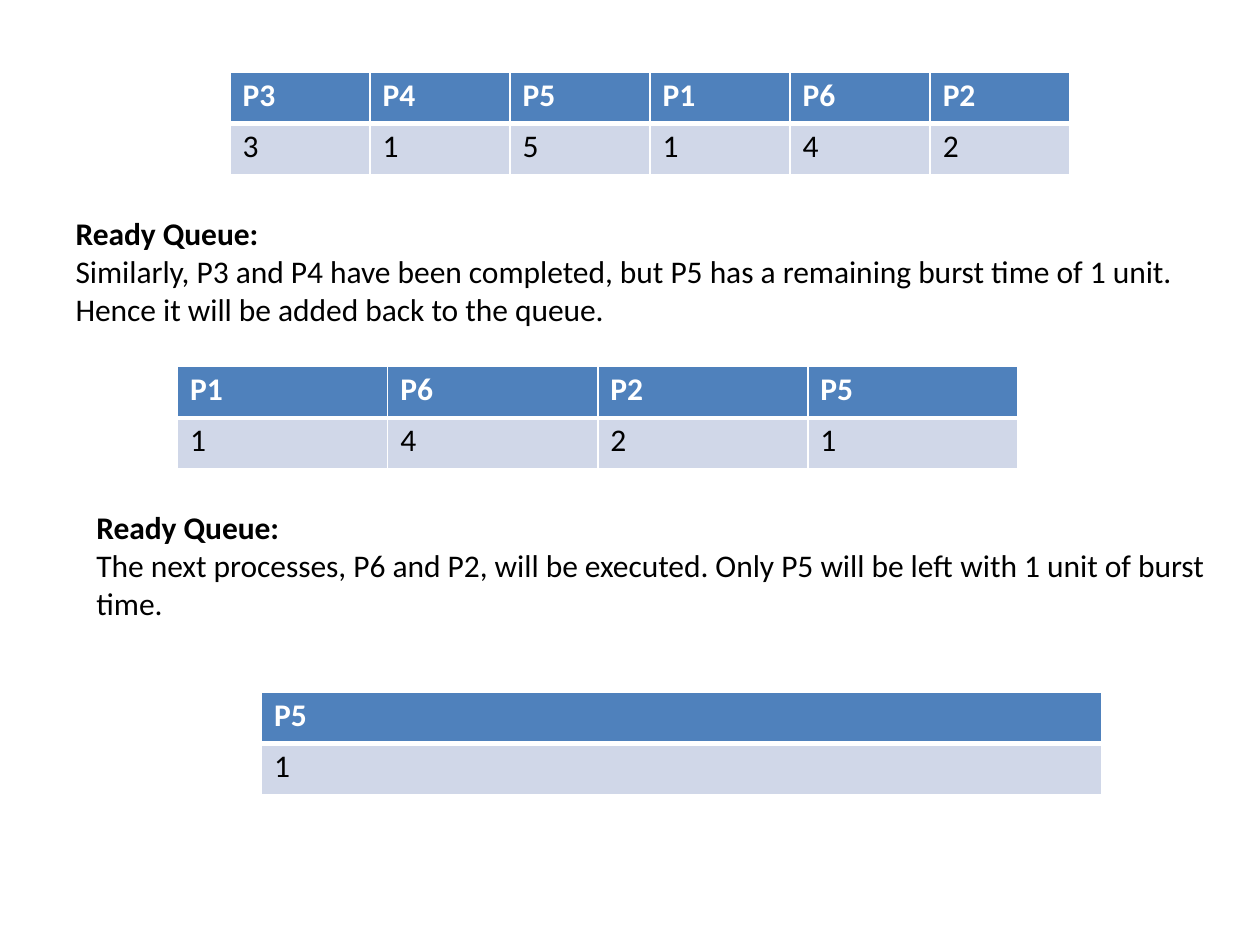
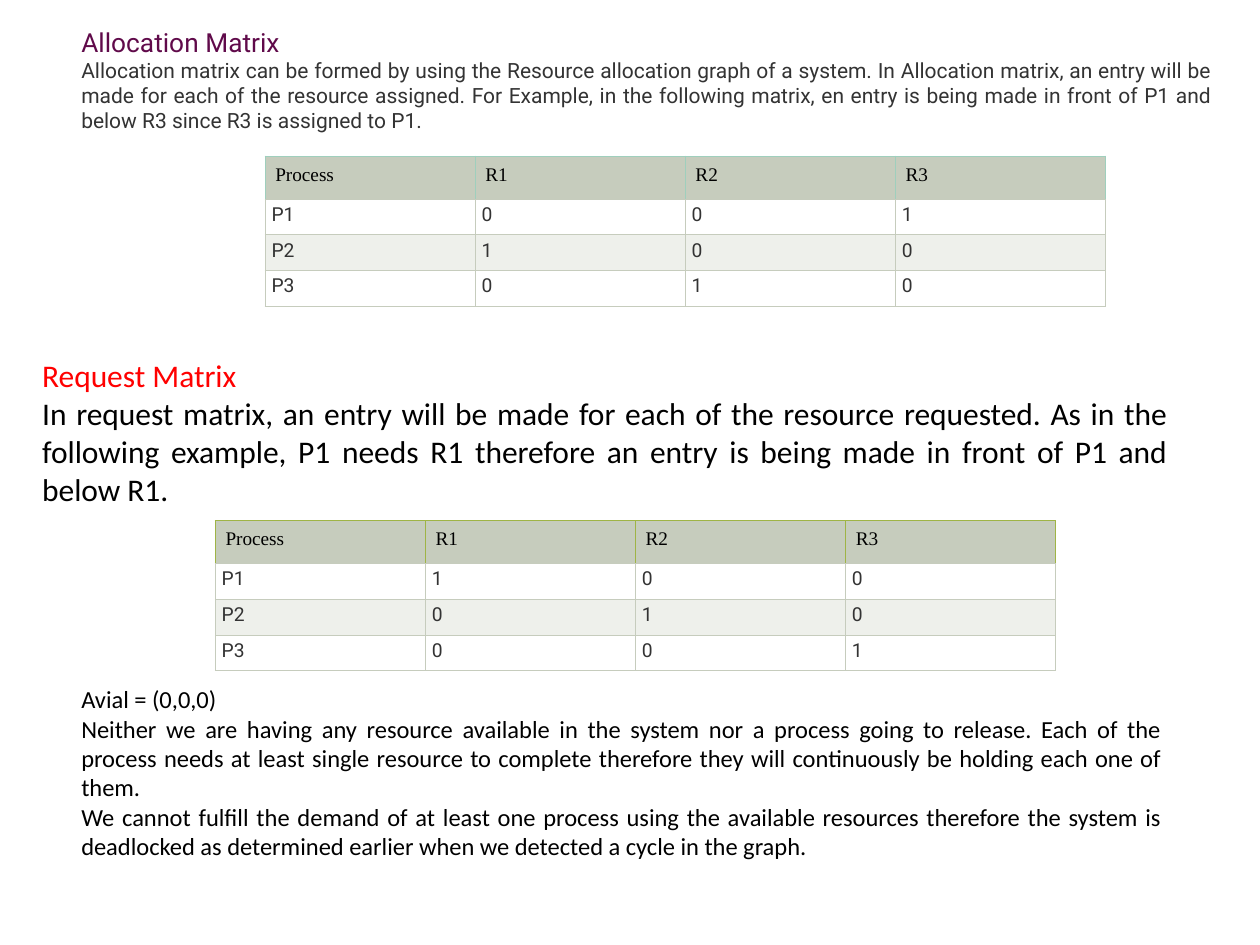
import dataclasses
import typing

import lxml.etree
import pptx
import pptx.dml.color
import pptx.enum.text
import pptx.oxml.ns
import pptx.slide
import pptx.table
import pptx.text.text
import pptx.util

WIDE, HIGH = pptx.util.Inches(10), pptx.util.Inches(7.5)
COLS, ROWS = 100, 75
SPAN = 66.7
WHITE, BLACK, GREY = "FFFFFF", "000000", "333333"
BLUE, PALE = "4F81BC", "D0D7E8"
SAGE, MIST = "C6CCBD", "EEF0EB"


@dataclasses.dataclass(frozen=True)
class Face:
    font: str
    size: float
    tint: str
    bold: bool = False
    track: int = -2


@dataclasses.dataclass(frozen=True)
class Edge:
    tint: str
    width: float


@dataclasses.dataclass(frozen=True)
class Band:
    """Look of one table row; edges run left, right, top, bottom."""
    face: Face
    fill: str
    tall: float
    edges: tuple[Edge, Edge, Edge, Edge]
    left: float
    top: float
    lead: float


@dataclasses.dataclass(frozen=True)
class Grid:
    col: float
    row: float
    cells: tuple[str, ...]
    bands: tuple[Band, ...]


@dataclasses.dataclass(frozen=True)
class Note:
    col: float
    row: float
    wide: float
    tall: float
    head: Face
    body: Face
    lines: tuple[str, ...]
    align: typing.Any = pptx.enum.text.PP_ALIGN.LEFT


def across(cols: float) -> int:
    return round(WIDE * cols / COLS)


def down(rows: float) -> int:
    return round(HIGH * rows / ROWS)


def color(code: str) -> pptx.dml.color.RGBColor:
    return pptx.dml.color.RGBColor.from_string(code)


def style(para: pptx.text.text._Paragraph, face: Face, lead: float) -> None:
    para.space_before = pptx.util.Pt(lead)
    for run in para.runs:
        font = run.font
        font.name, font.bold = face.font, face.bold
        font.size = pptx.util.Pt(face.size)
        font.color.rgb = color(face.tint)
        run._r.get_or_add_rPr().set("spc", str(face.track))


def border(cell: pptx.table._Cell, edges: tuple[Edge, ...]) -> None:
    props = cell._tc.get_or_add_tcPr()
    qn = pptx.oxml.ns.qn
    for spot, (side, edge) in enumerate(zip("LRTB", edges)):
        line = lxml.etree.Element(qn(f"a:ln{side}"), w=str(pptx.util.Pt(edge.width)))
        fill = lxml.etree.SubElement(line, qn("a:solidFill"))
        lxml.etree.SubElement(fill, qn("a:srgbClr"), val=edge.tint)
        props.insert(spot, line)


def draw_grid(slide: pptx.slide.Slide, grid: Grid) -> None:
    count = len(grid.cells[0].split())
    tall = sum(band.tall for band in grid.bands)
    table = slide.shapes.add_table(
        len(grid.bands), count, across(grid.col), down(grid.row), across(SPAN), down(tall)
    ).table
    table.horz_banding = False
    for column in table.columns:
        column.width = across(SPAN / count)
    for row, words, band in zip(table.rows, grid.cells, grid.bands):
        row.height = down(band.tall)
        for cell, word in zip(row.cells, words.split()):
            cell.text_frame.text = word
            cell.margin_left, cell.margin_top = across(band.left), down(band.top)
            cell.margin_right = cell.margin_bottom = 0
            cell.fill.solid()
            cell.fill.fore_color.rgb = color(band.fill)
            border(cell, band.edges)
            style(cell.text_frame.paragraphs[0], band.face, band.lead)


def draw_note(slide: pptx.slide.Slide, note: Note) -> None:
    frame = slide.shapes.add_textbox(
        across(note.col), down(note.row), across(note.wide), down(note.tall)
    ).text_frame
    frame.word_wrap = True
    frame.margin_left = frame.margin_top = across(0.1)
    frame.margin_right = frame.margin_bottom = 0
    frame.text = "\n".join(note.lines)
    for spot, para in enumerate(frame.paragraphs):
        para.alignment = note.align
        style(para, note.body if spot else note.head, 0 if spot else 1)


THIN, THICK = Edge(WHITE, 1), Edge(WHITE, 3)
PLAIN = Face("Calibri", 18, BLACK)
STRONG = dataclasses.replace(PLAIN, bold=True)
QUEUE = (
    Band(Face("Calibri", 18, WHITE, True, 0), BLUE, 4.07,
         (THIN, THIN, THIN, THICK), 1, 0.3, 2.5),
    Band(Face("Calibri", 18, BLACK, False, 0), PALE, 4.07,
         (THIN, THIN, THICK, THIN), 1, 0.3, 2.5),
)


def matrix(accent: str) -> tuple[Band, ...]:
    """Header row edged in the accent, then three striped rows."""
    rule, trim = Edge(SAGE, 0.75), Edge(accent, 0.75)
    head = Band(Face("Times New Roman", 11, BLACK, track=-2), SAGE, 3.4,
                (trim, trim, trim, rule), 0.8, 0.6, 4.3)
    body = Band(Face("Roboto", 11, GREY, track=0), WHITE, 2.84,
                (rule,) * 4, 0.5, 0.35, 2.7)
    return head, body, dataclasses.replace(body, fill=MIST), body


JUST = pptx.enum.text.PP_ALIGN.JUSTIFY
SMALL = Face("Calibri", 14, BLACK)
LABEL = "Process R1 R2 R3"

DECK: tuple[tuple[Grid | Note, ...], ...] = (
    (
        Grid(18.25, 5.75, ("P3 P4 P5 P1 P6 P2", "3 1 5 1 4 2"), QUEUE),
        Note(5.9, 16.9, 87.7, 9.3, STRONG, PLAIN, (
            "Ready Queue:",
            "Similarly, P3 and P4 have been completed, but P5 has a remaining "
            "burst time of 1 unit.",
            "Hence it will be added back to the queue.",
        )),
        Grid(14.1, 29.1, ("P1 P6 P2 P5", "1 4 2 1"), QUEUE),
        Note(7.55, 40.25, 88.6, 9.3, STRONG, PLAIN, (
            "Ready Queue:",
            "The next processes, P6 and P2, will be executed. Only P5 will be "
            "left with 1 unit of burst",
            "time.",
        )),
        Grid(20.75, 54.95, ("P5", "1"), QUEUE),
    ),
    (
        Grid(21.05, 12.4, (LABEL, "P1 0 0 1", "P2 1 0 0", "P3 0 1 0"), matrix("9FCFBD")),
        Note(6.35, 1.97, 89.9, 8.8, Face("Roboto", 15, "600A4A", track=2),
             Face("Roboto", 12, GREY, track=0), (
            "Allocation Matrix",
            "Allocation matrix can be formed by using the Resource allocation "
            "graph of a system. In Allocation matrix, an entry will be made for "
            "each of the resource assigned. For Example, in the following "
            "matrix, en entry is being made in front of P1 and below R3 since "
            "R3 is assigned to P1.",
        ), JUST),
        Note(3.25, 28.17, 89.4, 12.3, Face("Calibri", 18, "FF0000"), PLAIN, (
            "Request Matrix",
            "In request matrix, an entry will be made for each of the resource "
            "requested. As in the following example, P1 needs R1 therefore an "
            "entry is being made in front of P1 and below R1.",
        ), JUST),
        Grid(17.1, 41.33, (LABEL, "P1 1 0 0", "P2 0 1 0", "P3 0 0 1"), matrix("9FB446")),
        Note(6.35, 54.2, 85.8, 14.3, SMALL, SMALL, (
            "Avial = (0,0,0)",
            "Neither we are having any resource available in the system nor a "
            "process going to release. Each of the process needs at least "
            "single resource to complete therefore they will continuously be "
            "holding each one of them.",
            "We cannot fulfill the demand of at least one process using the "
            "available resources therefore the system is deadlocked as "
            "determined earlier when we detected a cycle in the graph.",
        ), JUST),
    ),
)


def main() -> None:
    deck = pptx.Presentation()
    deck.slide_width, deck.slide_height = WIDE, HIGH
    for parts in DECK:
        slide = deck.slides.add_slide(deck.slide_layouts[6])
        for part in parts:
            if isinstance(part, Grid):
                draw_grid(slide, part)
            else:
                draw_note(slide, part)
    deck.save("out.pptx")


if __name__ == "__main__":
    main()
